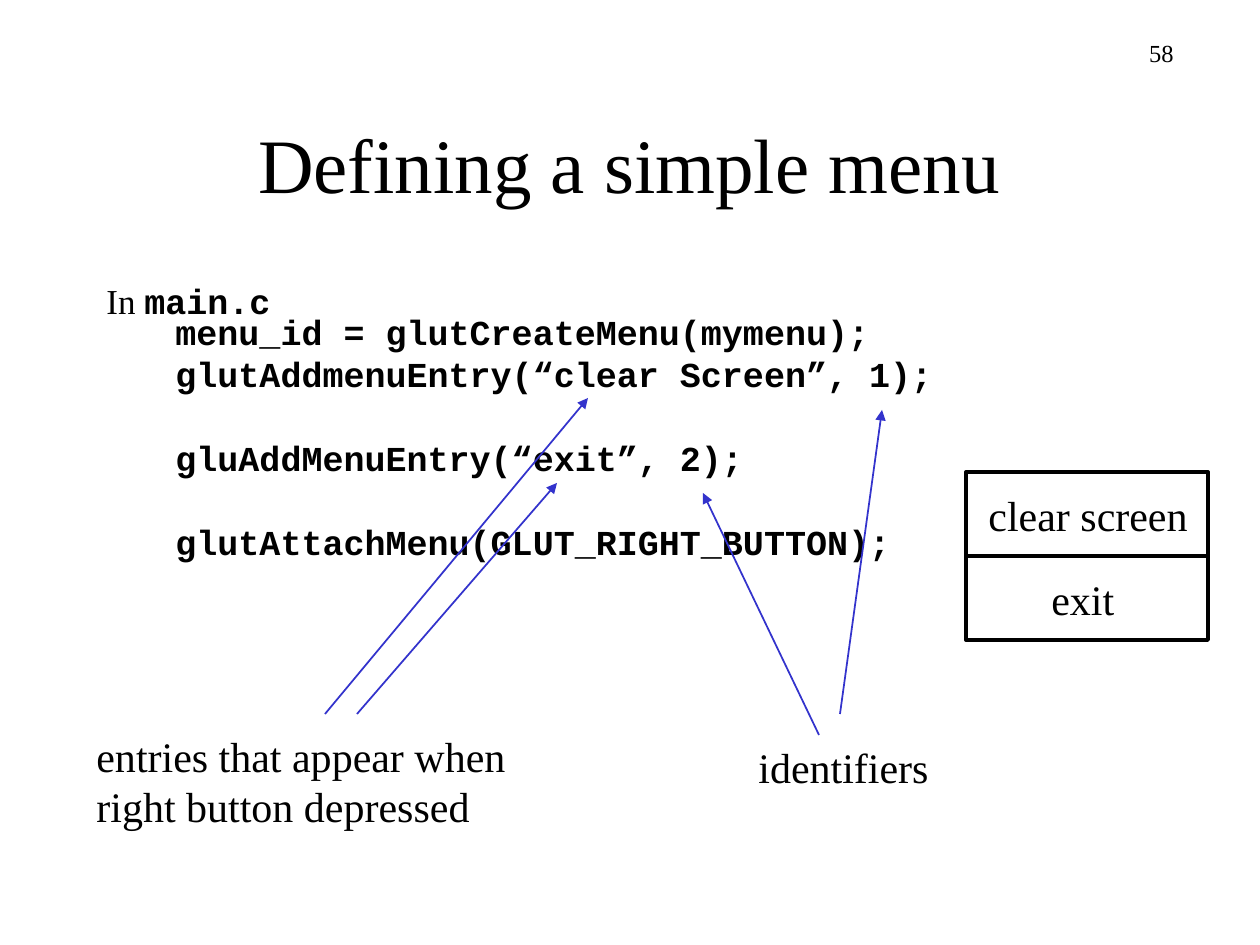
"""Build the slide on defining a simple menu."""
from lxml.etree import SubElement
from pptx import Presentation
from pptx.dml.color import RGBColor as Rgb
from pptx.enum.shapes import MSO_CONNECTOR as Conn, MSO_SHAPE as Form
from pptx.enum.text import MSO_ANCHOR as Anchor, PP_ALIGN as Align
from pptx.oxml.ns import qn
from pptx.util import Pt

PX = 914400 / 126
COLORS = {"ink": "000000", "paper": "FFFFFF", "arrow": "3333CC"}
SERIF, MONO = "Times New Roman", "Courier New"


def put_text(box, lines, size, face=SERIF, bold=False, align=Align.LEFT):
    frame = box.text_frame
    for i, (text, gap) in enumerate(lines):
        para = frame.add_paragraph() if i else frame.paragraphs[0]
        para.text = text
        para.alignment = align
        para.line_spacing = Pt(size * 1.2)
        para.space_before = Pt(gap)
        font = para.font
        font.name, font.size, font.bold = face, Pt(size), bold
        font.color.rgb = Rgb.from_string(COLORS["ink"])
    return frame


def draw_line(ends, color, width, arrow=False):
    line = shapes.add_connector(Conn.STRAIGHT, *[round(n * PX) for n in ends])
    line.line.color.rgb = Rgb.from_string(COLORS[color])
    line.line.width = Pt(width)
    props = line._element.spPr
    if arrow:
        SubElement(props.find(qn("a:ln")), qn("a:tailEnd"), type="triangle")
    SubElement(props, qn("a:effectLst"))


deck = Presentation()
deck.slide_width, deck.slide_height = round(1260 * PX), round(945 * PX)
slide = deck.slides.add_slide(deck.slide_layouts[5])
shapes = slide.shapes

title = shapes.title
title.left, title.top, title.width, title.height = [
    round(n * PX) for n in (94, 84, 1071, 158)]
title.text_frame.vertical_anchor = Anchor.MIDDLE
put_text(title, [("Defining a simple menu", 0)], 44, align=Align.CENTER)

number = shapes.add_textbox(*[round(n * PX) for n in (924, 32, 262, 63)])
put_text(number, [("58", 0)], 14, align=Align.RIGHT).word_wrap = True

intro = shapes.add_textbox(*[round(n * PX) for n in (94, 273, 1071, 50)])
frame = put_text(intro, [("In ", 0)], 20)
frame.word_wrap = True
name = frame.paragraphs[0].add_run()
name.text = "main.c"
name.font.name, name.font.bold = MONO, True

code = shapes.add_textbox(*[round(n * PX) for n in (163, 304, 800, 265)])
put_text(code, [
    ("menu_id = glutCreateMenu(mymenu);", 0),
    ("glutAddmenuEntry(“clear Screen”, 1);", 0),
    ("gluAddMenuEntry(“exit”, 2);", 24),
    ("glutAttachMenu(GLUT_RIGHT_BUTTON);", 24),
], 20, MONO, True).word_wrap = True

for ends in [(325, 714, 588, 398), (357, 714, 557, 483),
             (819, 735, 703, 493), (840, 714, 882, 410)]:
    draw_line(ends, "arrow", 1, True)

menu = shapes.add_shape(Form.RECTANGLE, *[round(n * PX) for n in (966, 472, 242, 168)])
menu.shadow.inherit = False
menu.fill.solid()
menu.fill.fore_color.rgb = Rgb.from_string(COLORS["paper"])
menu.line.color.rgb = Rgb.from_string(COLORS["ink"])
menu.line.width = Pt(2.25)
draw_line((966, 556, 1208, 556), "ink", 2.25)

for area, lines in [
    ((84, 724, 445, 113), ["entries that appear when", "right button depressed"]),
    ((746, 735, 205, 63), ["identifiers"]),
    ((976, 483, 232, 63), ["clear screen"]),
    ((1039, 567, 98, 63), ["exit"]),
]:
    label = shapes.add_textbox(*[round(n * PX) for n in area])
    put_text(label, [(text, 0) for text in lines], 24).word_wrap = True

deck.save("out.pptx")
